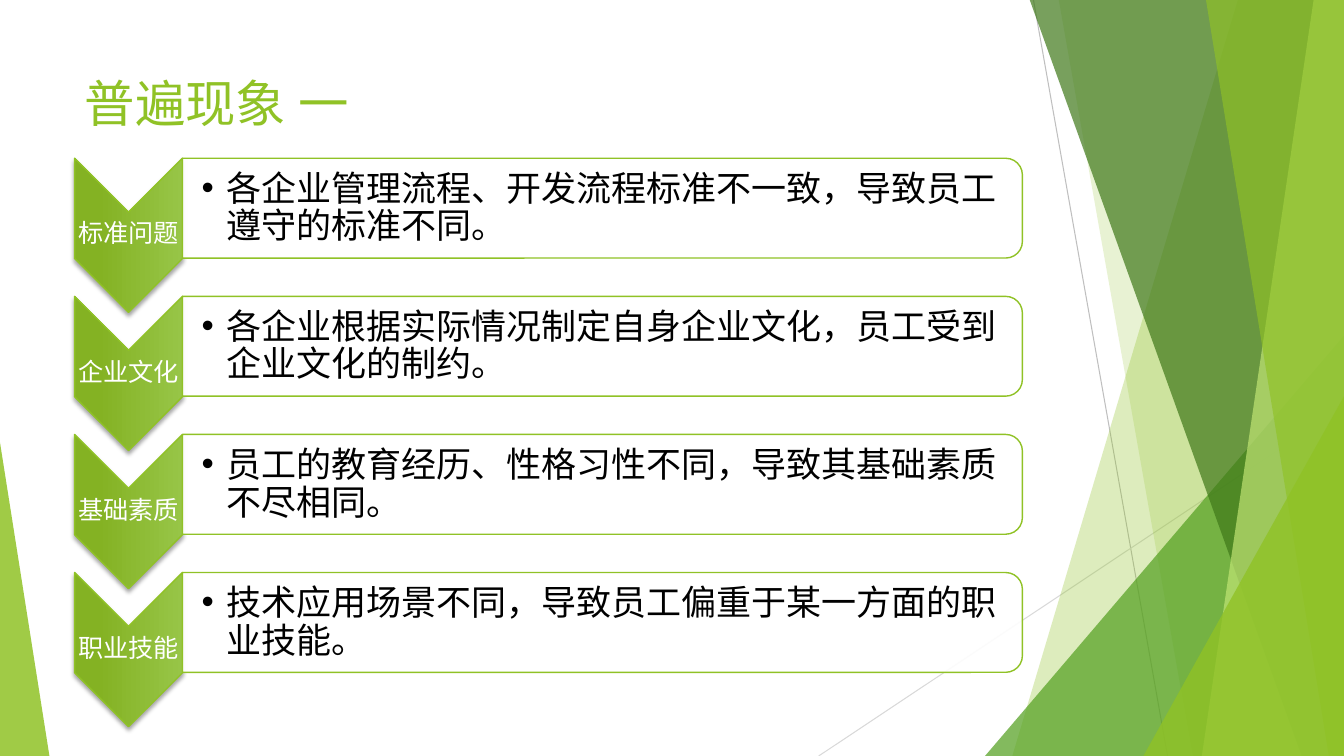
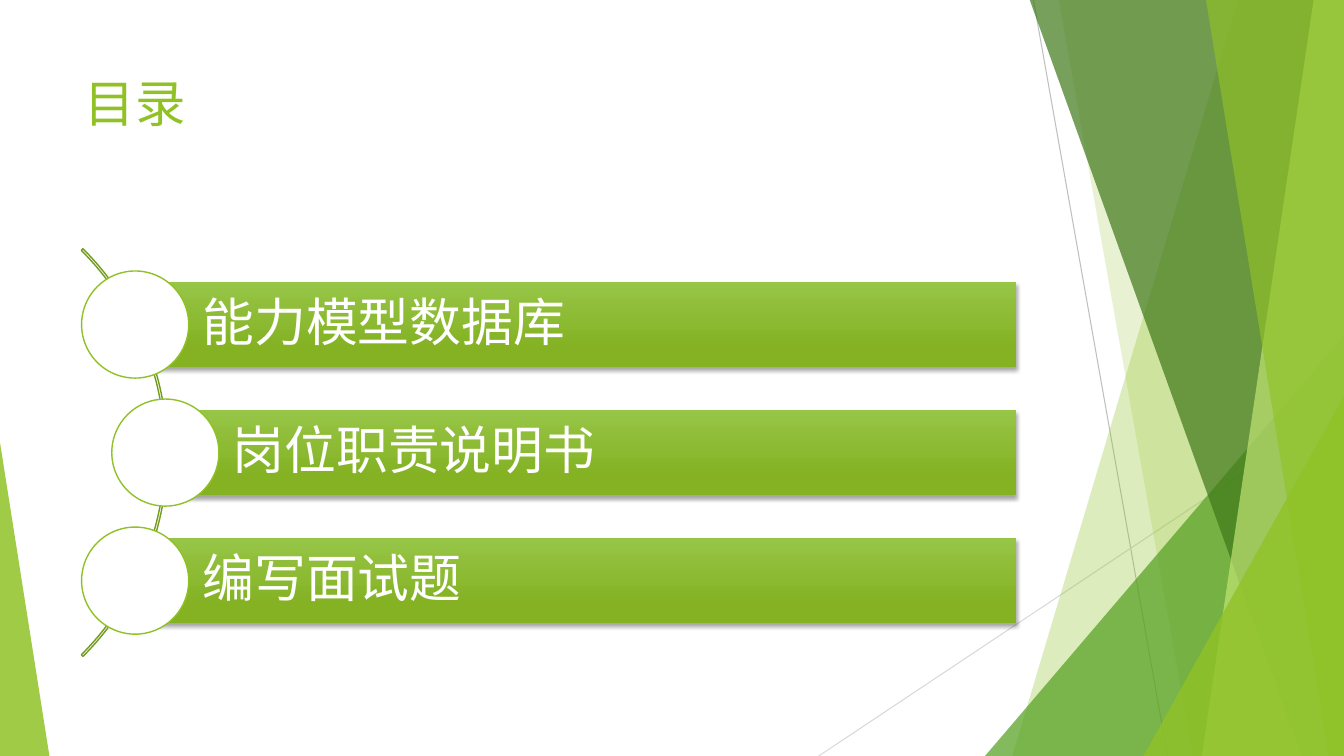
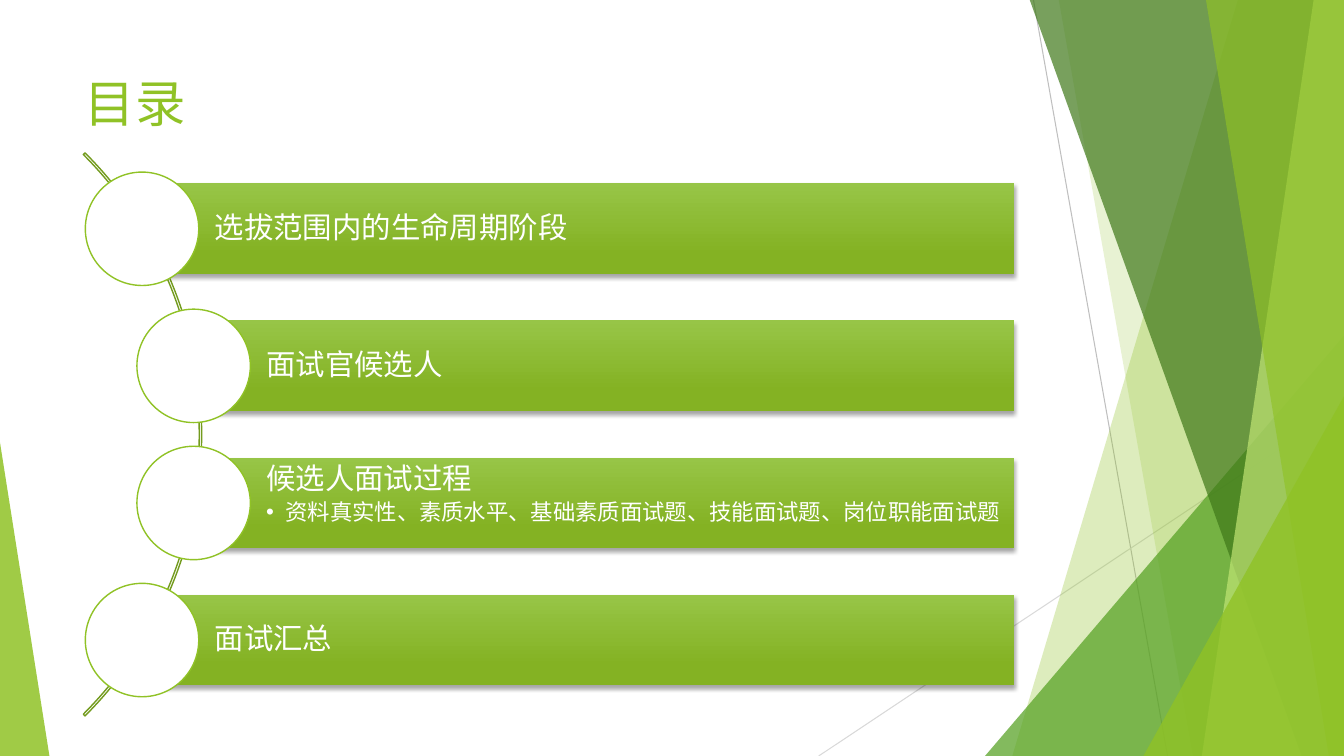
"""Build three slides on interview planning with a shared green facet design."""
import math
import pptx
import pptx.util
import pptx.dml.color
import pptx.enum.shapes
import pptx.enum.text
import pptx.oxml.ns
from lxml import etree

Inches = pptx.util.Inches
Pt = pptx.util.Pt
SHAPE = pptx.enum.shapes.MSO_SHAPE
ANCHOR = pptx.enum.text.MSO_ANCHOR
ALIGN = pptx.enum.text.PP_ALIGN
qn = pptx.oxml.ns.qn

WIDTH, HEIGHT = 13.33, 7.5
FONT = "Roboto"
COLORS = {
    "lime": "90C226", "green": "54A021", "forest": "3F7819", "pale": "C0E474",
    "bar_top": "97C547", "bar_bottom": "84B223", "arc": "739B1E",
    "ray": "BFBFBF", "faint_ray": "D9D9D9", "white": "FFFFFF", "black": "000000",
}

RAYS = [((10.25, 0), (11.58, 7.5), "ray"), ((13.33, 4.03), (8.12, 7.5), "faint_ray")]
FACETS = [
    ("band", (12.28, 10.04), "lime", 30),
    ("band", (10.5, 11.83), "lime", 20),
    ("triangle", (9.77, 3.33, 3.56, 4.17, 1), "green", 72),
    ("band", (10.21, 12.91), "forest", 70),
    ("band", (13.03, 11.92), "pale", 70),
    ("band", (11.96, 13.18), "lime", 65),
    ("triangle", (11.34, 3.93, 1.99, 3.57, 1), "lime", 80),
    ("triangle", (0, 4.39, 0.49, 3.11, 0), "lime", 85),
]

PHENOMENA = [
    ("标准问题", "各企业管理流程、开发流程标准不一致，导致员工遵守的标准不同。"),
    ("企业文化", "各企业根据实际情况制定自身企业文化，员工受到企业文化的制约。"),
    ("基础素质", "员工的教育经历、性格习性不同，导致其基础素质不尽相同。"),
    ("职业技能", "技术应用场景不同，导致员工偏重于某一方面的职业技能。"),
]
AGENDAS = [
    {
        "items": [["能力模型数据库"], ["岗位职责说明书"], ["编写面试题"]],
        "center": (-1.2, 4.49), "arc": 5.72, "thickness": 0.004, "pitch": 1.27,
        "bar": 0.85, "right": 10.08, "insets": (0.67, 0.1, 0.1, 0.1), "size": 37,
    },
    {
        "items": [
            ["选拔范围内的生命周期阶段"],
            ["面试官候选人"],
            ["候选人面试过程", "资料真实性、素质水平、基础素质面试题、技能面试题、岗位职能面试题"],
            ["面试汇总"],
        ],
        "center": (-1.95, 4.31), "arc": 7.9, "thickness": 0.003, "pitch": 1.36,
        "bar": 0.9, "right": 10.06, "insets": (0.72, 0.06, 0.06, 0.06), "size": 21,
    },
]


def color(name):
    return pptx.dml.color.RGBColor.from_string(COLORS[name])


def paint(shape, fill=None, line=None, alpha=100):
    shape.shadow.inherit = False
    if fill:
        shape.fill.solid()
        shape.fill.fore_color.rgb = color(fill)
        if alpha < 100:
            tone = shape.element.spPr.find(".//" + qn("a:srgbClr"))
            etree.SubElement(tone, qn("a:alpha"), val=str(alpha * 1000))
    else:
        shape.fill.background()
    if line:
        shape.line.color.rgb = color(line)
        shape.line.width = Pt(1)
    else:
        shape.line.fill.background()
    return shape


def shade(shape, line=None):
    paint(shape, line=line)
    shape.fill.gradient()
    shape.fill.gradient_angle = 270
    for stop, tone, position in zip(shape.fill.gradient_stops, ("bar_top", "bar_bottom"), (0, 0.78)):
        stop.color.rgb = color(tone)
        stop.position = position
    effects = shape.element.spPr.find(qn("a:effectLst"))
    shadow = etree.SubElement(effects, qn("a:outerShdw"), blurRad=str(Pt(3)), dist=str(Pt(2)),
                              dir="5400000", rotWithShape="0")
    tone = etree.SubElement(shadow, qn("a:srgbClr"), val=COLORS["black"])
    etree.SubElement(tone, qn("a:alpha"), val="35000")
    return shape


def add(slide, kind, left, top, width, height):
    return slide.shapes.add_shape(kind, Inches(left), Inches(top), Inches(width), Inches(height))


def add_upright(slide, kind, left, top, width, height):
    """Place a preset turned by 90 degrees so that it covers the given area."""
    shape = add(slide, kind, left + (width - height) / 2, top + (height - width) / 2, height, width)
    shape.rotation = 90
    return shape


def style(paragraph, size, tone, align=ALIGN.LEFT, spacing=0.9):
    paragraph.alignment = align
    paragraph.line_spacing = spacing
    for run in paragraph.runs:
        run.font.size = Pt(size)
        run.font.name = FONT
        run.font.color.rgb = color(tone)
        etree.SubElement(run.font._element, qn("a:ea"), typeface=FONT)


def bullet(paragraph, indent):
    properties = paragraph._p.get_or_add_pPr()
    properties.set("marL", str(Inches(indent)))
    properties.set("indent", str(-Inches(indent)))
    etree.SubElement(properties, qn("a:buFont"), typeface="Arial")
    etree.SubElement(properties, qn("a:buChar"), char="•")


def frame(shape, text, insets, anchor=ANCHOR.MIDDLE):
    body = shape.text_frame
    body.text = text
    body.word_wrap = True
    body.vertical_anchor = anchor
    body.margin_left, body.margin_top, body.margin_right, body.margin_bottom = map(Inches, insets)
    return body


def add_text(slide, area, text, insets):
    return frame(slide.shapes.add_textbox(*map(Inches, area)), text, insets).paragraphs[0]


def draw_facets(slide):
    for start, end, tone in RAYS:
        ray = slide.shapes.add_connector(pptx.enum.shapes.MSO_CONNECTOR.STRAIGHT,
                                         *map(Inches, start + end))
        ray.line.color.rgb = color(tone)
        ray.line.width = Pt(0.75)
        etree.SubElement(ray.element.spPr, qn("a:effectLst"))
    for kind, geometry, tone, alpha in FACETS:
        if kind == "band":
            top_x, bottom_x = geometry
            outline = slide.shapes.build_freeform(Inches(top_x), Inches(-0.01))
            corners = [(WIDTH, -0.01), (WIDTH, HEIGHT), (bottom_x, HEIGHT)]
            outline.add_line_segments([(Inches(x), Inches(y)) for x, y in corners])
            facet = outline.convert_to_shape()
        else:
            facet = add(slide, SHAPE.ISOSCELES_TRIANGLE, *geometry[:4])
            facet.adjustments[0] = geometry[4]
        paint(facet, tone, alpha=alpha)


def move_to_layout(slide, layout):
    facets = [shape for shape in slide.shapes if not shape.is_placeholder]
    for index, facet in enumerate(facets):
        facet.element.xpath(".//p:cNvPr")[0].set("id", str(100 + index))
        layout.shapes.element.insert(2 + index, facet.element)


def add_slide(deck, layout, heading):
    slide = deck.slides.add_slide(layout)
    title = slide.shapes.title
    title.left, title.top, title.width, title.height = map(Inches, (0.74, 0.67, 9.4, 1.44))
    body = frame(title, heading, (0.1, 0.05, 0.1, 0.05), ANCHOR.TOP)
    style(body.paragraphs[0], 36, "lime", spacing=1.0)
    return slide


def draw_phenomena(slide):
    left, width, pitch = 0.74, 1.07, 1.37
    for index, (label, detail) in enumerate(PHENOMENA):
        top = 1.57 + index * pitch
        shade(add_upright(slide, SHAPE.CHEVRON, left, top, width, 1.53), "lime")
        name = add_text(slide, (left, top + 0.53, width, 0.46), label, [0.01] * 4)
        style(name, 18, "white", ALIGN.CENTER)
        panel = add_upright(slide, SHAPE.ROUND_2_SAME_RECTANGLE, left + width, top, 8.33, 0.99)
        paint(panel, "white", "lime", 90)
        text = add_text(slide, (left + width, top + 0.05, 8.28, 0.9), detail, (0.19, 0.02, 0.02, 0.02))
        style(text, 25, "black")
        bullet(text, 0.25)


def draw_agenda(slide, agenda):
    center_x, center_y = agenda["center"]
    extent, bar_height = agenda["arc"], agenda["bar"]
    radius = extent / 2 - 0.02
    arc = add(slide, SHAPE.BLOCK_ARC, center_x - extent / 2, center_y - extent / 2, extent, extent)
    for index, value in enumerate((189, 27, agenda["thickness"])):
        arc.adjustments[index] = value
    paint(arc, line="arc")
    for index, (heading, *details) in enumerate(agenda["items"]):
        offset = (index - (len(agenda["items"]) - 1) / 2) * agenda["pitch"]
        left = center_x + math.sqrt(radius ** 2 - offset ** 2)
        middle = center_y + offset
        bar = add(slide, SHAPE.RECTANGLE, left, middle - bar_height / 2,
                  agenda["right"] - left, bar_height)
        shade(bar)
        body = frame(bar, heading, agenda["insets"], ANCHOR.TOP if details else ANCHOR.MIDDLE)
        style(body.paragraphs[0], agenda["size"], "white")
        for detail in details:
            body.paragraphs[0].space_after = Pt(4)
            line = body.add_paragraph()
            line.text = detail
            style(line, 16, "white")
            bullet(line, 0.19)
        dot = bar_height * 1.25
        paint(add(slide, SHAPE.OVAL, left - dot / 2, middle - dot / 2, dot, dot), "white", "lime")


def main():
    deck = pptx.Presentation()
    deck.slide_width, deck.slide_height = Inches(WIDTH), Inches(HEIGHT)
    layout = deck.slide_layouts[5]
    opening = add_slide(deck, layout, "普遍现象 一")
    draw_facets(opening)
    move_to_layout(opening, layout)
    draw_phenomena(opening)
    for agenda in AGENDAS:
        draw_agenda(add_slide(deck, layout, "目录"), agenda)
    deck.save("out.pptx")


if __name__ == "__main__":
    main()
